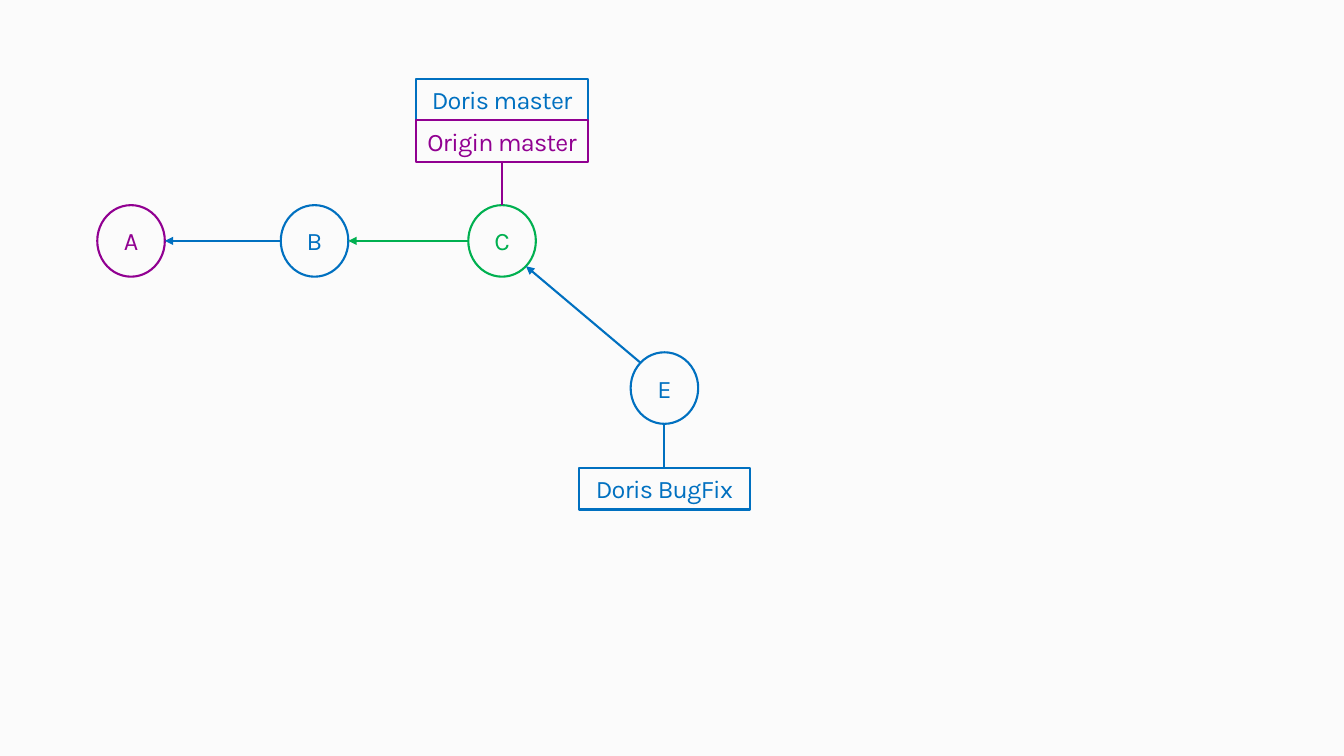
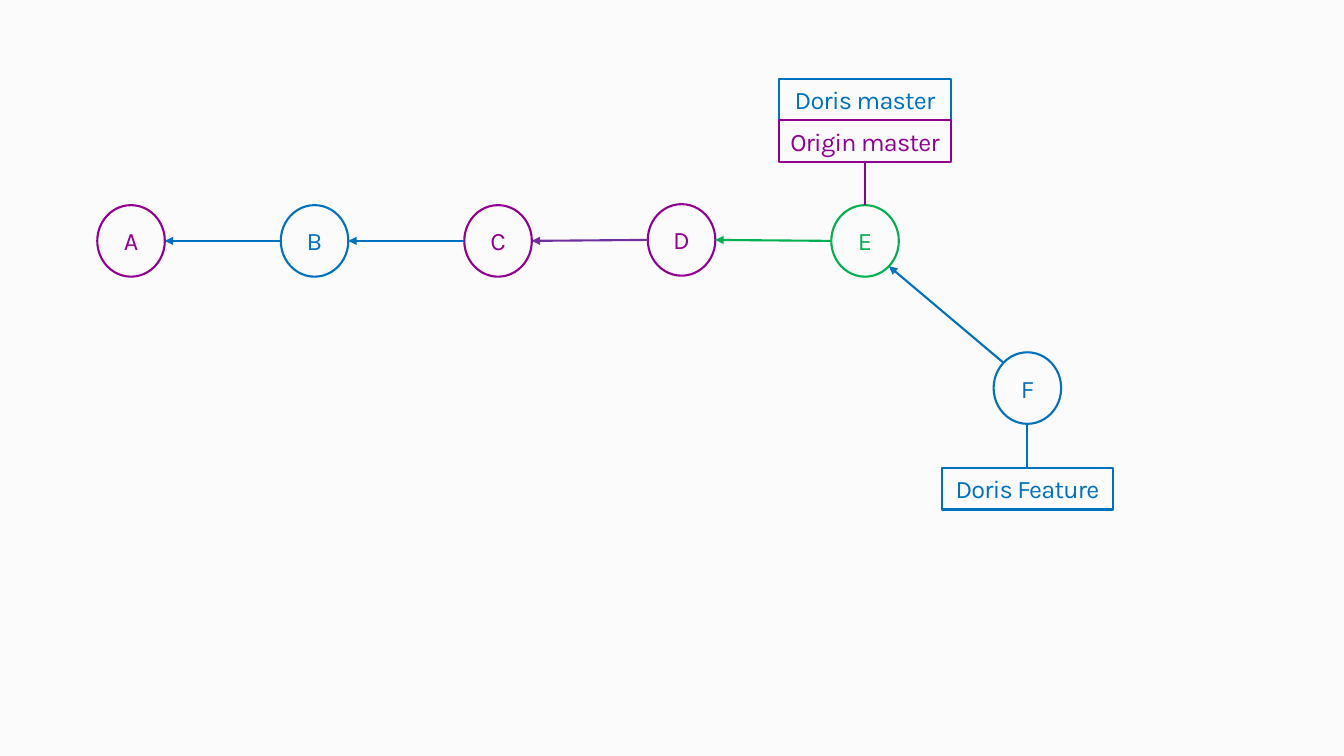
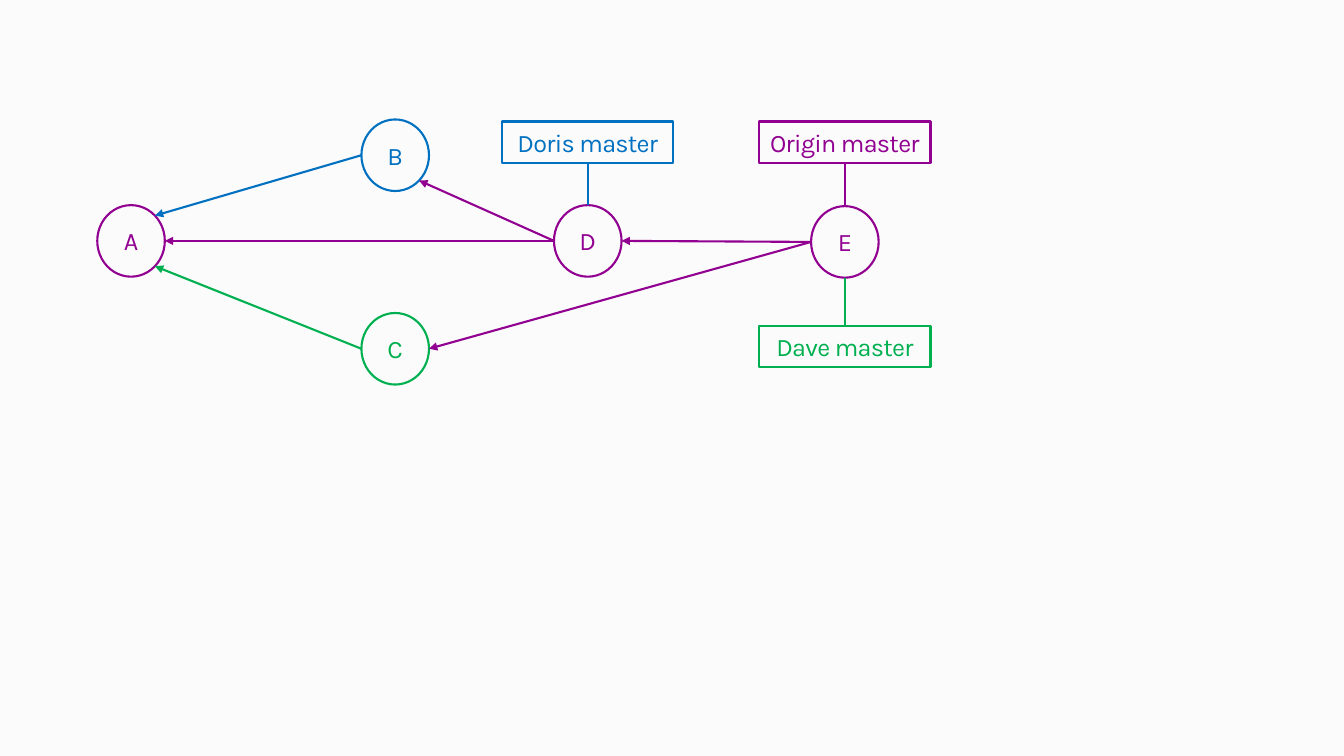
from dataclasses import dataclass
from math import sqrt

from lxml.etree import SubElement
from pptx import Presentation
from pptx.dml.color import RGBColor
from pptx.enum.shapes import MSO_CONNECTOR, MSO_SHAPE
from pptx.enum.text import MSO_ANCHOR, PP_ALIGN
from pptx.oxml.ns import qn
from pptx.util import Inches, Pt


@dataclass(frozen=True)
class Theme:
    background: str = "FBFBFB"
    purple: str = "910091"
    blue: str = "0070C0"
    green: str = "00B050"
    violet: str = "7030A0"
    font: str = "Karla"
    size: float = 18
    spacing: float = -0.5
    line: float = 1.5


T = Theme()
COMMIT_W, COMMIT_H = 0.67, 0.71
LABEL_W, LABEL_H = 1.7, 0.41

# Shared layout of the commit graphs
FIRST_X, STEP = 1.3, 1.82
MAIN_Y = 2.39
BRANCH_DX, BRANCH_Y = 1.61, 3.85
COL = [FIRST_X + i * STEP for i in range(5)]
FIX_X = 4.98
MERGE_X, LAST_X, SIDE_X = 5.83, 8.38, 3.92
UPPER_LABEL_Y, LOWER_LABEL_Y, BRANCH_LABEL_Y = 0.99, 1.4, 4.85

# commits: name -> (centre x, centre y, colour)
# links:   (child, side, parent, side, colour)
# labels:  (text, commit, centre y, colour, has a stem)
GRAPHS = [
    dict(
        commits={
            "A": (COL[0], MAIN_Y, T.purple),
            "B": (COL[1], MAIN_Y, T.blue),
            "C": (FIX_X, MAIN_Y, T.green),
            "E": (FIX_X + BRANCH_DX, BRANCH_Y, T.blue),
        },
        links=[
            ("B", "left", "A", "right", T.blue),
            ("C", "left", "B", "right", T.green),
            ("E", "top left", "C", "bottom right", T.blue),
        ],
        labels=[
            ("Doris master", "C", UPPER_LABEL_Y, T.blue, False),
            ("Origin master", "C", LOWER_LABEL_Y, T.purple, True),
            ("Doris BugFix", "E", BRANCH_LABEL_Y, T.blue, True),
        ],
    ),
    dict(
        commits={
            "A": (COL[0], MAIN_Y, T.purple),
            "B": (COL[1], MAIN_Y, T.blue),
            "C": (COL[2], MAIN_Y, T.purple),
            "D": (COL[3], MAIN_Y - 0.01, T.purple),
            "E": (COL[4], MAIN_Y, T.green),
            "F": (COL[4] + BRANCH_DX, BRANCH_Y, T.blue),
        },
        links=[
            ("B", "left", "A", "right", T.blue),
            ("C", "left", "B", "right", T.blue),
            ("D", "left", "C", "right", T.violet),
            ("E", "left", "D", "right", T.green),
            ("F", "top left", "E", "bottom right", T.blue),
        ],
        labels=[
            ("Doris master", "E", UPPER_LABEL_Y, T.blue, False),
            ("Origin master", "E", LOWER_LABEL_Y, T.purple, True),
            ("Doris Feature", "F", BRANCH_LABEL_Y, T.blue, True),
        ],
    ),
    dict(
        commits={
            "A": (FIRST_X, MAIN_Y, T.purple),
            "B": (SIDE_X, 1.54, T.blue),
            "C": (SIDE_X, 3.46, T.green),
            "D": (MERGE_X, MAIN_Y, T.purple),
            "E": (LAST_X, MAIN_Y + 0.01, T.purple),
        },
        links=[
            ("B", "left", "A", "top right", T.blue),
            ("C", "left", "A", "bottom right", T.green),
            ("D", "left", "B", "bottom right", T.purple),
            ("D", "left", "A", "right", T.purple),
            ("E", "left", "D", "right", T.purple),
            ("E", "left", "C", "right", T.purple),
        ],
        labels=[
            ("Doris master", "D", 1.41, T.blue, True),
            ("Dave master", "E", 3.44, T.green, True),
            ("Origin master", "E", 1.41, T.purple, True),
        ],
    ),
]

# side -> (x and y as a share of the half size, site on an ellipse, on a box)
DIAGONAL = sqrt(0.5)
SIDES = {
    "top": (0, -1, 0, 0),
    "top left": (-DIAGONAL, -DIAGONAL, 1, None),
    "left": (-1, 0, 2, 1),
    "bottom": (0, 1, 4, 2),
    "bottom right": (DIAGONAL, DIAGONAL, 5, None),
    "right": (1, 0, 6, 3),
    "top right": (DIAGONAL, -DIAGONAL, 7, None),
}


def set_text(sp, text, color, size=T.size, font=T.font, spacing=T.spacing):
    tf = sp.text_frame
    tf.margin_left = tf.margin_right = tf.margin_top = tf.margin_bottom = 0
    tf.vertical_anchor = MSO_ANCHOR.MIDDLE
    tf.word_wrap = True
    p = tf.paragraphs[0]
    p.alignment = PP_ALIGN.CENTER
    r = p.add_run()
    r.text = text
    r.font.name, r.font.size = font, Pt(size)
    r.font.color.rgb = RGBColor.from_string(color)
    r.font._element.set("spc", str(int(spacing * 100)))


def set_line(line, color):
    line.color.rgb = RGBColor.from_string(color)
    line.width = Pt(T.line)


def add_outlined(s, kind, text, x, y, w, h, color):
    """Draw an unfilled shape centred on x, y."""
    sp = s.shapes.add_shape(kind, Inches(x - w / 2), Inches(y - h / 2), Inches(w), Inches(h))
    sp.shadow.inherit = False
    sp.fill.background()
    set_line(sp.line, color)
    set_text(sp, text, color)
    return sp


def site(sp, side):
    """Give the point of a side and its connection site number."""
    dx, dy, on_ellipse, on_box = SIDES[side]
    x = sp.left + sp.width * (1 + dx) / 2
    y = sp.top + sp.height * (1 + dy) / 2
    is_ellipse = sp.auto_shape_type == MSO_SHAPE.OVAL
    return int(x), int(y), on_ellipse if is_ellipse else on_box


def connect(s, start, start_side, end, end_side, color, arrow=True):
    x1, y1, start_site = site(start, start_side)
    x2, y2, end_site = site(end, end_side)
    c = s.shapes.add_connector(MSO_CONNECTOR.STRAIGHT, x1, y1, x2, y2)
    set_line(c.line, color)
    if arrow:
        SubElement(c.line._get_or_add_ln(), qn("a:tailEnd"), type="triangle")
    SubElement(c._element.spPr, qn("a:effectLst"))
    glue = c._element.nvCxnSpPr.cNvCxnSpPr
    for tag, sp, idx in (("a:stCxn", start, start_site), ("a:endCxn", end, end_site)):
        SubElement(glue, qn(tag), id=str(sp.shape_id), idx=str(idx))


def add_graph(s, commits, links, labels):
    nodes = {
        name: add_outlined(s, MSO_SHAPE.OVAL, name, x, y, COMMIT_W, COMMIT_H, color)
        for name, (x, y, color) in commits.items()
    }
    for child, child_side, parent, parent_side, color in links:
        connect(s, nodes[child], child_side, nodes[parent], parent_side, color)
    for text, name, y, color, has_stem in labels:
        x, commit_y, _ = commits[name]
        box = add_outlined(s, MSO_SHAPE.RECTANGLE, text, x, y, LABEL_W, LABEL_H, color)
        if has_stem:
            sides = ("bottom", "top") if y < commit_y else ("top", "bottom")
            connect(s, box, sides[0], nodes[name], sides[1], color, arrow=False)


def main():
    prs = Presentation()
    prs.slide_width, prs.slide_height = Inches(13.33), Inches(7.5)
    fill = prs.slide_master.background.fill
    fill.solid()
    fill.fore_color.rgb = RGBColor.from_string(T.background)
    blank = prs.slide_layouts[6]
    for graph in GRAPHS:
        add_graph(prs.slides.add_slide(blank), **graph)
    prs.save("out.pptx")


if __name__ == "__main__":
    main()
